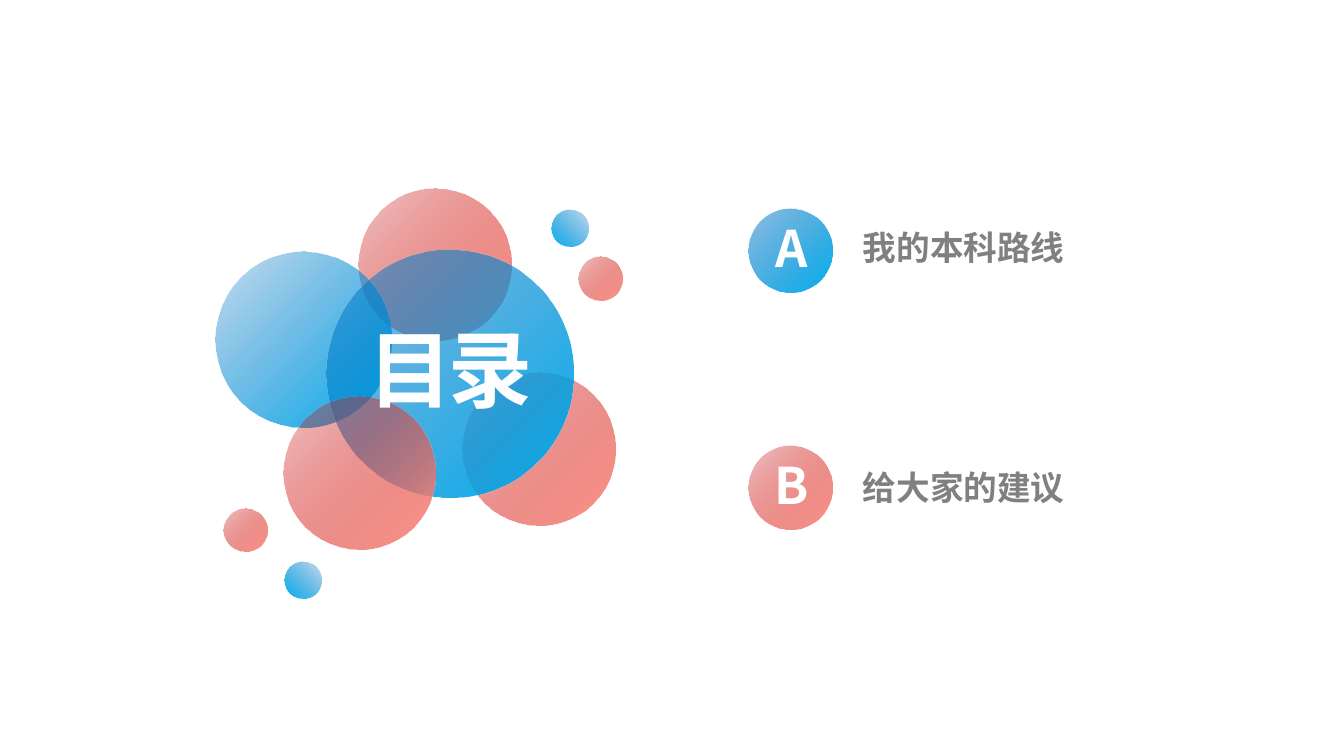
from lxml import etree
from pptx import Presentation
from pptx.dml.color import RGBColor
from pptx.enum.shapes import MSO_SHAPE
from pptx.enum.text import MSO_AUTO_SIZE, PP_ALIGN
from pptx.oxml.ns import qn
from pptx.util import Pt

OVAL = MSO_SHAPE.OVAL
GROW = MSO_AUTO_SIZE.SHAPE_TO_FIT_TEXT
LEFT, CENTER = PP_ALIGN.LEFT, PP_ALIGN.CENTER

# Content
TITLE = "目录"
CHAPTERS = [
    # letter, label, tint, badge top, label top
    ("A", "我的本科路线", "deep blue", 149, 158.4),
    ("B", "给大家的建议", "red", 318.2, 329.8),
]
FONT = "Noto Sans CJK SC"
WHITE, GREY = "FFFFFF", "808080"

# Start colour, start opacity in percent, end colour, angle (counterclockwise)
TINTS = {
    "red": ("C00000", 22, "FE978C", 315),
    "blue": ("0070C0", 22, "00B0F0", 315),
    "deep blue": ("0070C0", 44, "00B0F0", 315),
    "turned blue": ("0070C0", 22, "00B0F0", 225),
}

# Bubbles from back to front: left, top, diameter, tint
LARGE, MEDIUM, SMALL, TINY = 177, 109, 31.2, 26.4
BUBBLES = [
    (256.2, 134.5, MEDIUM, "red"),
    (330.5, 266.2, MEDIUM, "red"),
    (153.8, 179.5, 126, "blue"),
    (233, 178.2, LARGE, "deep blue"),
    (393.7, 149.6, TINY, "turned blue"),
    (413.2, 183.5, SMALL, "red"),
    (202.4, 283.5, MEDIUM, "red"),
    (203, 400.9, TINY, "turned blue"),
    (159.7, 363, SMALL, "red"),
]
TITLE_BOX = (235.4, 223.2, 172.8, 79.9)
BADGE_LEFT, BADGE_SIZE = 534.8, 59.8
LETTER_LEFT, LETTER_WIDTH, LETTER_HEIGHT, LETTER_DROP = 518.4, 94.3, 51.1, 2.5
LABEL_LEFT, LABEL_WIDTH, LABEL_HEIGHT = 616.3, 250, 36


def rgb(code):
    return RGBColor.from_string(code)


def add_bubble(shapes, left, top, size, tint):
    start, opacity, end, angle = TINTS[tint]
    bubble = shapes.add_shape(OVAL, Pt(left), Pt(top), Pt(size), Pt(size))
    bubble.shadow.inherit = False
    bubble.line.fill.background()
    bubble.fill.gradient()
    bubble.fill.gradient_angle = angle
    for stop, color in zip(bubble.fill.gradient_stops, (start, end)):
        stop.color.rgb = rgb(color)
    first_color = next(bubble.element.spPr.iter(qn("a:srgbClr")))
    etree.SubElement(first_color, qn("a:alpha"), val=str(opacity * 1000))


def add_text(shapes, box, text, size, color, align=CENTER, inset=7.2, spacing=0):
    frame = shapes.add_textbox(*map(Pt, box)).text_frame
    layout = {"word_wrap": True, "auto_size": GROW, "margin_left": Pt(inset)}
    for key, value in layout.items():
        setattr(frame, key, value)
    paragraph = frame.paragraphs[0]
    paragraph.alignment = align
    run = paragraph.add_run()
    run.text = text
    for key, value in {"name": FONT, "size": Pt(size), "bold": True}.items():
        setattr(run.font, key, value)
    run.font.color.rgb = rgb(color)
    # East Asian typeface and letter spacing
    properties = run.font._element
    etree.SubElement(properties, qn("a:ea"), typeface=FONT)
    if spacing:
        properties.set("spc", str(spacing * 100))


presentation = Presentation()
presentation.slide_width, presentation.slide_height = Pt(960), Pt(540)
slide = presentation.slides.add_slide(presentation.slide_layouts[6])

# Bubble cluster with the title
for bubble_spec in BUBBLES:
    add_bubble(slide.shapes, *bubble_spec)
add_text(slide.shapes, TITLE_BOX, TITLE, 60, WHITE, spacing=-3)

# Chapters: label beside a lettered badge
for letter, label, tint, badge_top, label_top in CHAPTERS:
    label_box = (LABEL_LEFT, label_top, LABEL_WIDTH, LABEL_HEIGHT)
    add_text(slide.shapes, label_box, label, 24, GREY, LEFT, inset=0)
    badge = slide.shapes.add_group_shape()
    add_bubble(badge.shapes, BADGE_LEFT, badge_top, BADGE_SIZE, tint)
    letter_box = (LETTER_LEFT, badge_top + LETTER_DROP, LETTER_WIDTH, LETTER_HEIGHT)
    add_text(badge.shapes, letter_box, letter, 36, WHITE, spacing=-3)

presentation.save("out.pptx")
